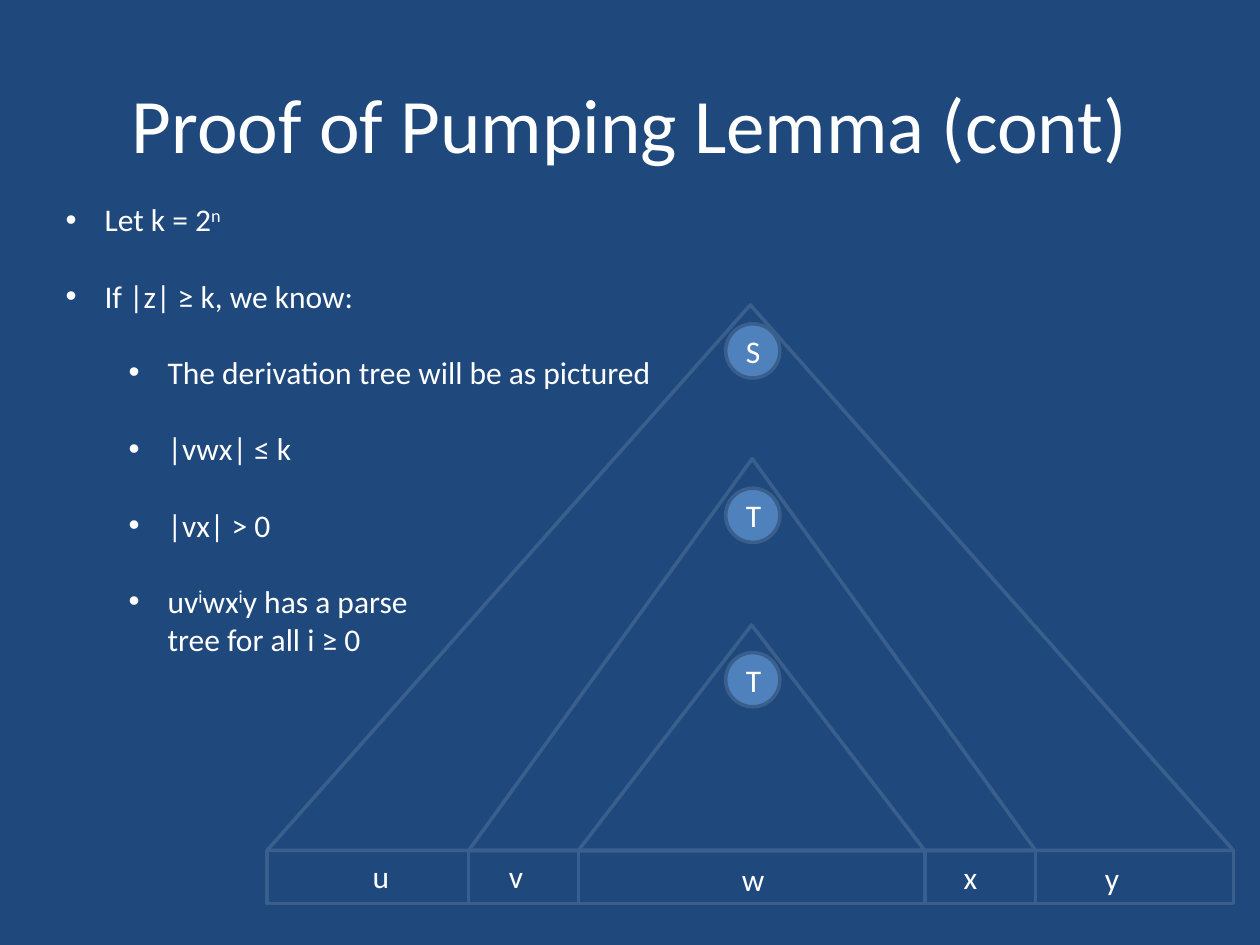
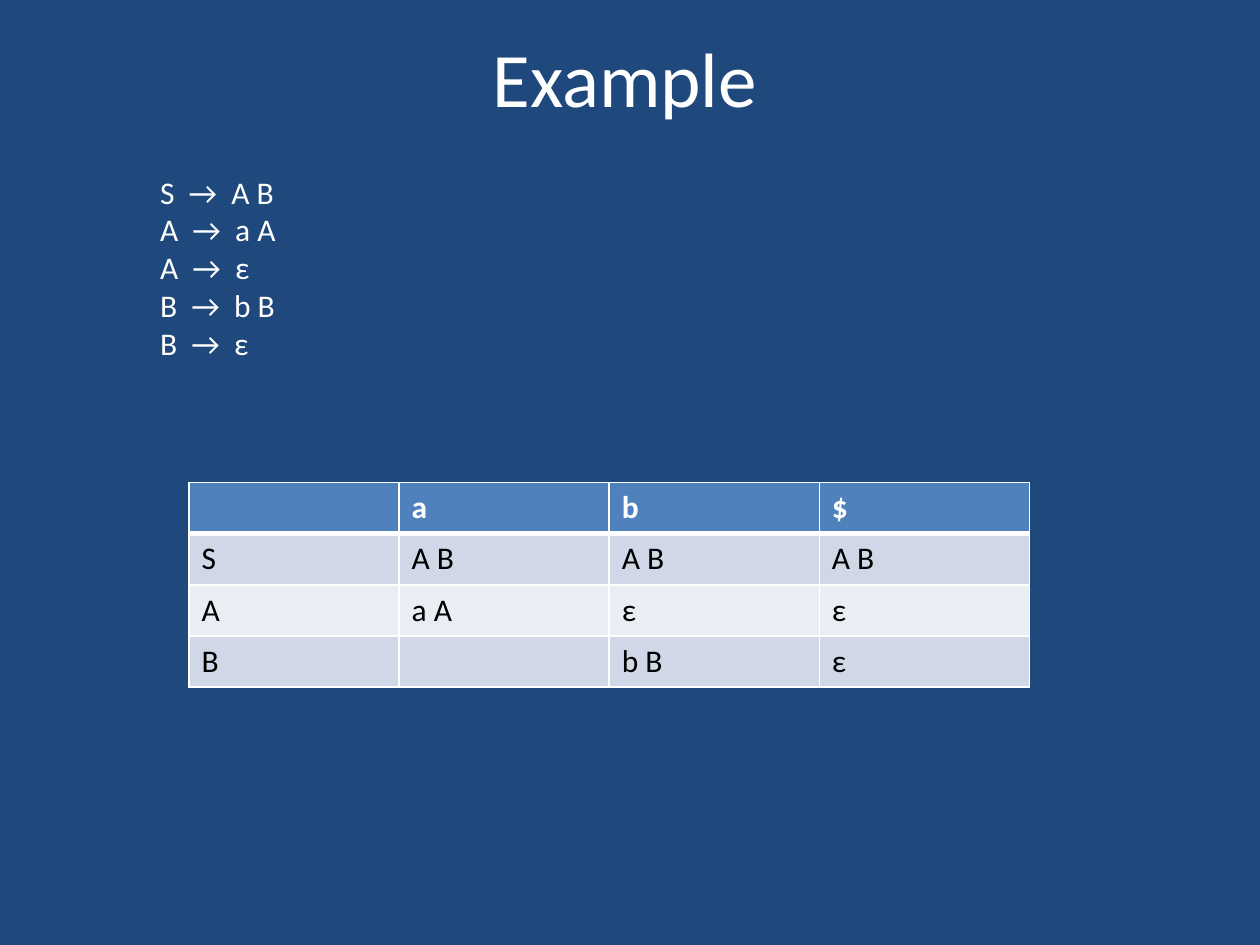
from lxml.etree import SubElement
from pptx import Presentation
from pptx.dml.color import RGBColor
from pptx.enum.shapes import MSO_CONNECTOR, MSO_SHAPE
from pptx.enum.text import MSO_ANCHOR, MSO_AUTO_SIZE, PP_ALIGN
from pptx.oxml.ns import qn
from pptx.util import Inches, Pt

COLOURS = {
    "background": "1F497D", "text": "FFFFFF", "node": "4F81BD",
    "outline": "3A5F8C", "divider": "376092", "cell_text": "000000",
    "header": "4F81BD", "odd_row": "D0D8E8", "even_row": "E9EDF4",
}
FONT = "Calibri"
TEXT_SIZE = 18
TITLE_SIZE = (9.58, 1.61)

# Proof slide: (level, [(text, superscript)]); None is a line break
PROOF_STEPS = [
    (0, [("Let k = 2", False), ("n", True)]),
    (0, [("If |z| ≥ k, we know:", False)]),
    (1, [("The derivation tree will be as pictured", False)]),
    (1, [("|vwx| ≤ k", False)]),
    (1, [("|vx| > 0", False)]),
    (1, [("uv", False), ("i", True), ("wx", False), ("i", True),
         ("y has a parse", False), None, ("tree for all i ≥ 0", False)]),
]
TREE_NODES = ["S", "T", "T"]
NODE_LEFT, NODE_TOP, NODE_STEP, NODE_SIZE = 5.76, 2.57, 1.305, 0.43
SUBTREES = [(2.12, 2.42, 7.67), (3.72, 3.64, 4.5), (4.59, 4.96, 2.75)]  # left, top, width
STRING_TOP, STRING_HEIGHT = 6.75, 0.42
SUBSTRINGS = [("u", 2.86, 6.75), ("v", 3.94, 6.75), ("w", 5.79, 6.78),
              ("x", 7.55, 6.76), ("y", 8.67, 6.77)]  # text, left, top

# Example slide
GRAMMAR = ["S  →  A B", "A  →  a A", "A  →  ε", "B  →  b B", "B  →  ε"]
PARSE_TABLE = [
    ["", "a", "b", "$"],
    ["S", "A B", "A B", "A B"],
    ["A", "a A", "ε", "ε"],
    ["B", "", "b B", "ε"],
]


def rgb(name):
    """Return the named colour."""
    return RGBColor.from_string(COLOURS[name])


def box(*lengths):
    """Turn numbers into lengths in inches."""
    return [Inches(length) for length in lengths]


def place(shape, left, top, width, height):
    """Move and size a shape."""
    values = zip(("left", "top", "width", "height"), box(left, top, width, height))
    for attribute, value in values:
        setattr(shape, attribute, value)


def style_run(run, colour="text", bold=False):
    """Give a run the shared font, size and colour."""
    for attribute, value in {"name": FONT, "size": Pt(TEXT_SIZE), "bold": bold}.items():
        setattr(run.font, attribute, value)
    run.font.color.rgb = rgb(colour)


def style_level(level, size):
    """Set size, font and colour of one text level of the master."""
    defaults = level.find(qn("a:defRPr"))
    defaults.set("sz", str(size * 100))
    defaults.find(qn("a:latin")).set("typeface", FONT)
    fill = defaults.find(qn("a:solidFill"))
    fill.remove(fill[0])
    SubElement(fill, qn("a:srgbClr"), val=COLOURS["text"])


def style_master(master):
    """Define background, title style and list levels for all slides."""
    master.background.fill.solid()
    master.background.fill.fore_color.rgb = rgb("background")
    styles = master.element.find(qn("p:txStyles"))
    style_level(styles.find(qn("p:titleStyle")).find(qn("a:lvl1pPr")), 44)
    body = styles.find(qn("p:bodyStyle"))
    for tag, margin in (("a:lvl1pPr", 0.31), ("a:lvl2pPr", 0.81)):
        level = body.find(qn(tag))
        style_level(level, TEXT_SIZE)
        level.set("marL", str(Inches(margin)))
        level.set("indent", str(Inches(-0.31)))
        level.find(qn("a:buChar")).set("char", "•")


def add_slide(prs, title, title_at, body_at):
    """Add a slide with its title; return it with its body text frame."""
    slide = prs.slides.add_slide(prs.slide_layouts[1])
    heading, body = slide.placeholders
    heading.text_frame.text = title
    heading.text_frame.vertical_anchor = MSO_ANCHOR.MIDDLE
    place(heading, *title_at, *TITLE_SIZE)
    place(body, *body_at)
    body.text_frame.auto_size = MSO_AUTO_SIZE.NONE
    return slide, body.text_frame


def add_paragraphs(frame, count, gap=0):
    """Yield paragraphs of a frame, with a gap in points after each."""
    for index in range(count):
        paragraph = frame.add_paragraph() if index else frame.paragraphs[0]
        paragraph.space_before, paragraph.space_after = Pt(0), Pt(gap)
        yield paragraph


def add_outline(slide, preset, at, fill=None):
    """Add a preset shape with the tree outline."""
    shape = slide.shapes.add_shape(preset, *box(*at))
    shape.shadow.inherit = False
    if fill:
        shape.fill.solid()
        shape.fill.fore_color.rgb = rgb(fill)
    else:
        shape.fill.background()
    shape.line.color.rgb = rgb("outline")
    shape.line.width = Pt(2)
    return shape


def add_divider(slide, x):
    """Add an upright line that splits the derived string."""
    line = slide.shapes.add_connector(
        MSO_CONNECTOR.STRAIGHT, *box(x, STRING_TOP, x, STRING_TOP + STRING_HEIGHT))
    line.line.color.rgb = rgb("divider")
    line.line.width = Pt(2)
    SubElement(line._element.spPr, qn("a:effectLst"))


def add_tree(slide):
    """Draw the nested derivation trees above their string."""
    for index, symbol in enumerate(TREE_NODES):
        at = (NODE_LEFT, NODE_TOP + index * NODE_STEP, NODE_SIZE, NODE_SIZE)
        node = add_outline(slide, MSO_SHAPE.OVAL, at, "node")
        node.text_frame.vertical_anchor = MSO_ANCHOR.MIDDLE
        paragraph = node.text_frame.paragraphs[0]
        paragraph.alignment = PP_ALIGN.CENTER
        run = paragraph.add_run()
        run.text = symbol
        style_run(run)
    for left, top, width in SUBTREES:
        add_outline(slide, MSO_SHAPE.ISOSCELES_TRIANGLE,
                    (left, top, width, STRING_TOP - top))
    left, _, width = SUBTREES[0]
    add_outline(slide, MSO_SHAPE.RECTANGLE, (left, STRING_TOP, width, STRING_HEIGHT))
    for left, _, width in SUBTREES[1:]:
        add_divider(slide, left)
        add_divider(slide, left + width)
    for text, left, top in SUBSTRINGS:
        label = slide.shapes.add_textbox(*box(left, top, 0.34, 0.4)).text_frame
        label.word_wrap = False
        run = label.paragraphs[0].add_run()
        run.text = text
        style_run(run)


def style_cell(cell, row):
    """Fill a cell and draw white borders, thick below the header."""
    stripe = "odd_row" if row % 2 else "even_row"
    cell.fill.solid()
    cell.fill.fore_color.rgb = rgb("header" if row == 0 else stripe)
    widths = {"L": 1, "R": 1, "T": 3 if row == 1 else 1, "B": 3 if row == 0 else 1}
    properties = cell._tc.get_or_add_tcPr()
    for index, (side, width) in enumerate(widths.items()):
        border = SubElement(properties, qn(f"a:ln{side}"), w=str(Pt(width)))
        fill = SubElement(border, qn("a:solidFill"))
        SubElement(fill, qn("a:srgbClr"), val=COLOURS["text"])
        properties.insert(index, border)


def add_parse_table(slide):
    """Add the parse table, one row per nonterminal."""
    table = slide.shapes.add_table(
        len(PARSE_TABLE), len(PARSE_TABLE[0]), *box(1.5, 3.83, 6.67, 1.62)).table
    for row, values in enumerate(PARSE_TABLE):
        for column, value in enumerate(values):
            cell = table.cell(row, column)
            style_cell(cell, row)
            if value:
                run = cell.text_frame.paragraphs[0].add_run()
                run.text = value
                style_run(run, "cell_text" if row else "text", bold=row == 0)


def build_proof(prs):
    """Build the slide with the proof steps and the tree."""
    slide, steps = add_slide(prs, "Proof of Pumping Lemma (cont)",
                             (0.21, 0.17), (0.42, 1.54, 9.17, 4.54))
    paragraphs = add_paragraphs(steps, len(PROOF_STEPS), gap=22)
    for paragraph, (level, parts) in zip(paragraphs, PROOF_STEPS):
        paragraph.level = level
        for part in parts:
            if part is None:
                paragraph.add_line_break()
                continue
            run = paragraph.add_run()
            run.text, raised = part
            style_run(run)
            if raised:
                run.font._element.set("baseline", "30000")
    add_tree(slide)


def build_example(prs):
    """Build the slide with the grammar and its parse table."""
    slide, rules = add_slide(prs, "Example", (0.17, -0.2), (1.17, 1.32, 1.92, 1.62))
    for paragraph, rule in zip(add_paragraphs(rules, len(GRAMMAR)), GRAMMAR):
        run = paragraph.add_run()
        run.text = rule
        style_run(run)
        properties = paragraph._p.get_or_add_pPr()
        for attribute in ("marL", "indent"):
            properties.set(attribute, "0")
        SubElement(properties, qn("a:buNone"))
    add_parse_table(slide)


prs = Presentation()
prs.slide_width, prs.slide_height = box(10, 7.5)
style_master(prs.slide_master)
build_proof(prs)
build_example(prs)
prs.save("out.pptx")
